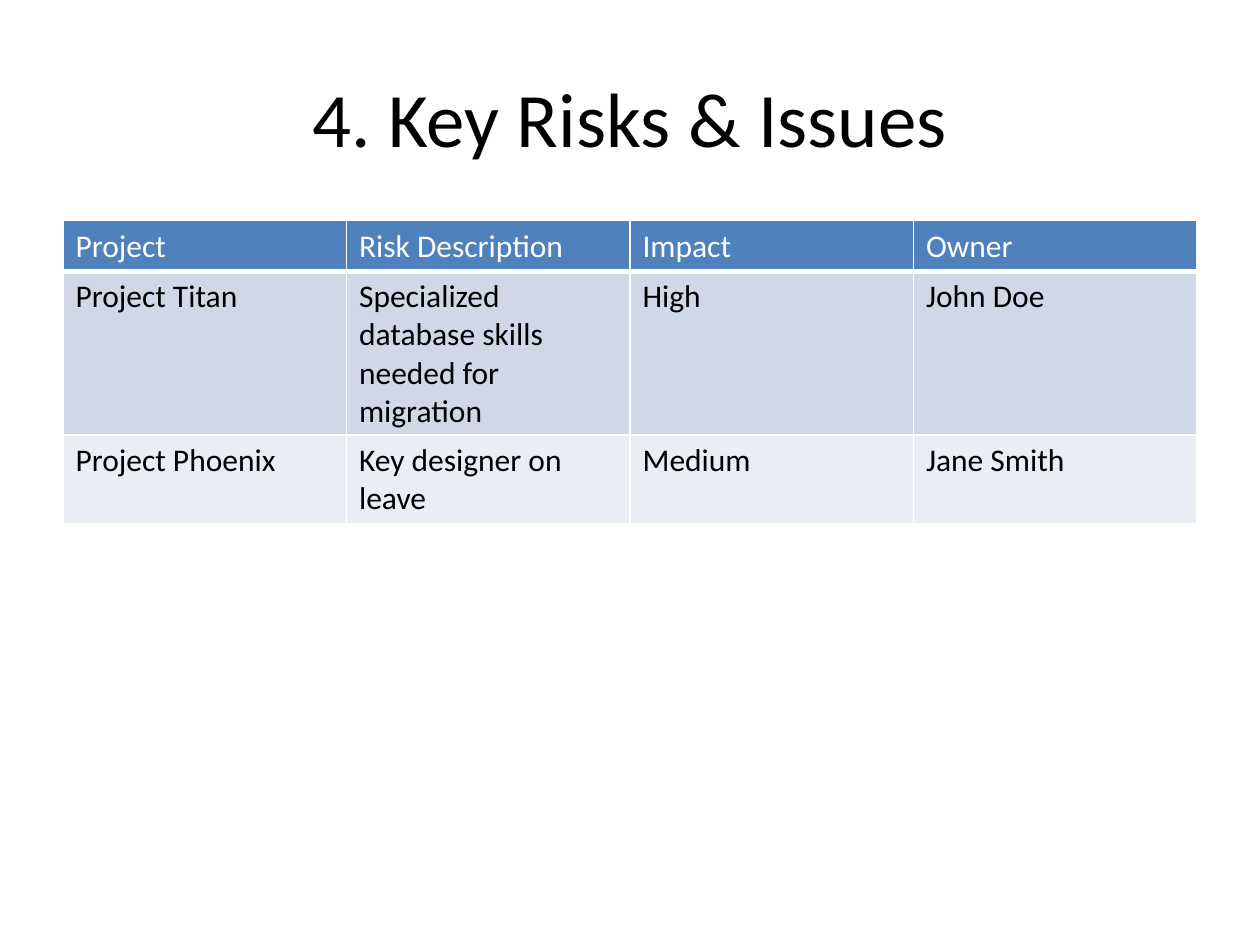
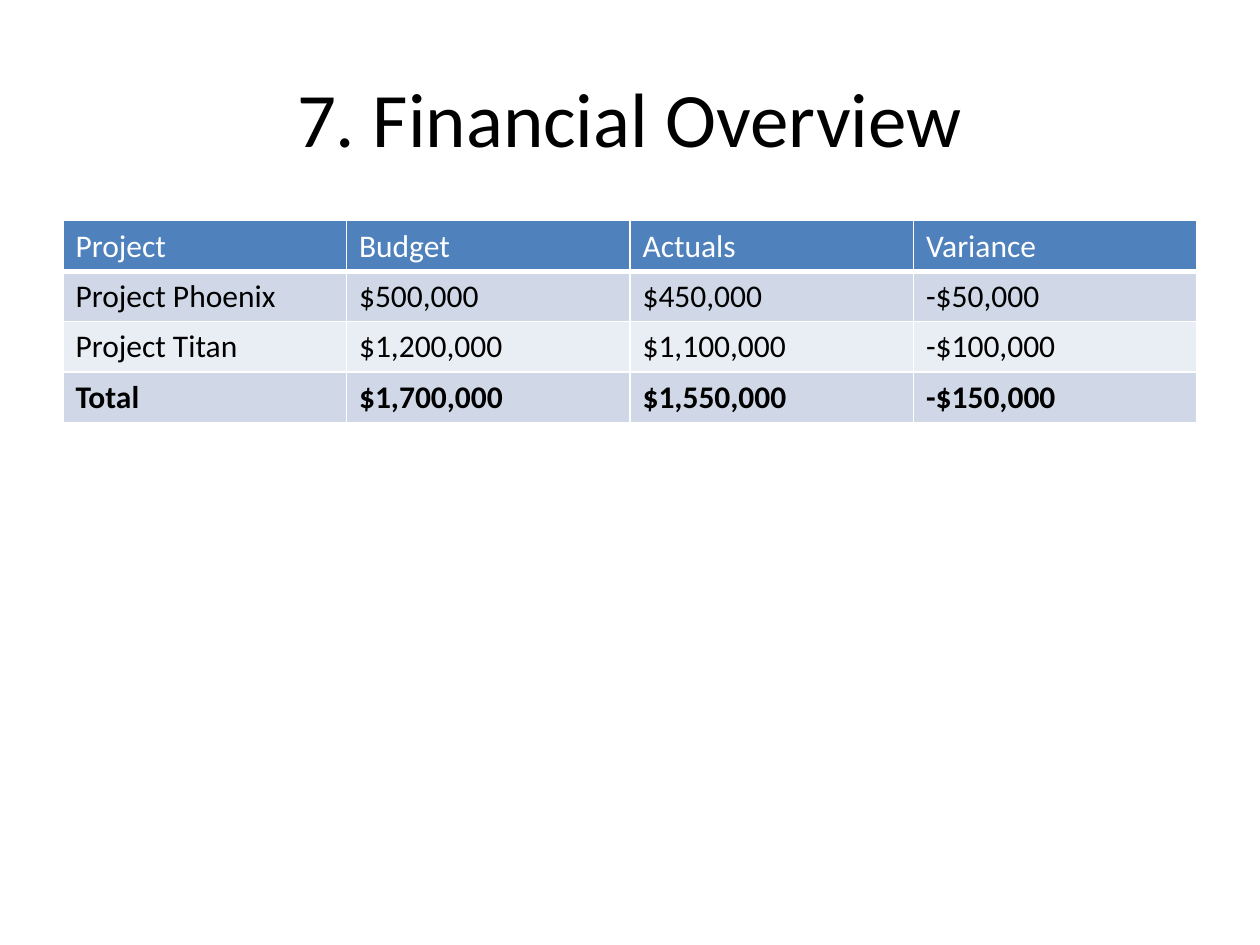
from dataclasses import dataclass

from lxml.etree import SubElement
from pptx import Presentation
from pptx.dml.color import RGBColor
from pptx.enum.text import MSO_ANCHOR, PP_ALIGN
from pptx.oxml.ns import qn
from pptx.util import Cm, Pt


@dataclass(frozen=True)
class Theme:
    font: str = "Calibri"
    title_size: int = 44
    table_size: int = 18
    text: str = "000000"
    header_text: str = "FFFFFF"
    header_fill: str = "4F81BD"
    band_fills: tuple = ("D0D8E8", "E9EDF4")
    border: str = "FFFFFF"
    border_width: int = 1
    header_rule_width: int = 3


class Deck:
    margin = Cm(1.27)
    content_width = Cm(22.86)

    def __init__(self, theme):
        self.theme = theme
        self.presentation = Presentation()
        self.presentation.slide_width = Cm(25.4)
        self.presentation.slide_height = Cm(19.05)
        self.slide = None

    def add_slide(self, title):
        blank_layout = self.presentation.slide_layouts[6]
        self.slide = self.presentation.slides.add_slide(blank_layout)
        self.add_title(title)

    def add_run(self, paragraph, text, size, color, bold=False):
        run = paragraph.add_run()
        run.text = text
        run.font.name = self.theme.font
        run.font.size = Pt(size)
        run.font.bold = bold
        run.font.color.rgb = RGBColor.from_string(color)

    def add_title(self, text):
        shape = self.slide.shapes.add_textbox(
            self.margin, Cm(0.76), self.content_width, Cm(3.18))
        frame = shape.text_frame
        frame.word_wrap = True
        frame.vertical_anchor = MSO_ANCHOR.MIDDLE
        paragraph = frame.paragraphs[0]
        paragraph.alignment = PP_ALIGN.CENTER
        self.add_run(paragraph, text, self.theme.title_size, self.theme.text)

    def add_table(self, rows, has_total=False):
        height = Cm(12.55)
        shape = self.slide.shapes.add_table(
            len(rows), len(rows[0]), self.margin, Cm(4.45),
            self.content_width, height)
        table = shape.table
        table.first_row = False
        table.horz_banding = False
        for row_index, row in enumerate(rows):
            table.rows[row_index].height = 0
            bold = has_total and row_index == len(rows) - 1
            for column_index, text in enumerate(row):
                cell = table.cell(row_index, column_index)
                self.fill_cell(cell, text, row_index, bold)
        shape.height = height

    def fill_cell(self, cell, text, row_index, bold):
        theme = self.theme
        is_header = row_index == 0
        color = theme.header_text if is_header else theme.text
        fill = theme.header_fill if is_header else theme.band_fills[(row_index - 1) % 2]
        self.add_run(cell.text_frame.paragraphs[0], text, theme.table_size, color, bold)
        self.add_borders(cell, is_header)
        cell.fill.solid()
        cell.fill.fore_color.rgb = RGBColor.from_string(fill)

    def add_borders(self, cell, is_header):
        properties = cell._tc.get_or_add_tcPr()
        for side in "LRTB":
            thick = is_header and side == "B"
            width = self.theme.header_rule_width if thick else self.theme.border_width
            line = SubElement(properties, qn(f"a:ln{side}"), w=str(Pt(width)))
            line_fill = SubElement(line, qn("a:solidFill"))
            SubElement(line_fill, qn("a:srgbClr"), val=self.theme.border)


def main():
    deck = Deck(Theme())

    deck.add_slide("4. Key Risks & Issues")
    deck.add_table([
        ("Project", "Risk Description", "Impact", "Owner"),
        ("Project Titan", "Specialized database skills needed for migration",
         "High", "John Doe"),
        ("Project Phoenix", "Key designer on leave", "Medium", "Jane Smith"),
    ])

    deck.add_slide("7. Financial Overview")
    deck.add_table([
        ("Project", "Budget", "Actuals", "Variance"),
        ("Project Phoenix", "$500,000", "$450,000", "-$50,000"),
        ("Project Titan", "$1,200,000", "$1,100,000", "-$100,000"),
        ("Total", "$1,700,000", "$1,550,000", "-$150,000"),
    ], has_total=True)

    deck.presentation.save("out.pptx")


if __name__ == "__main__":
    main()
